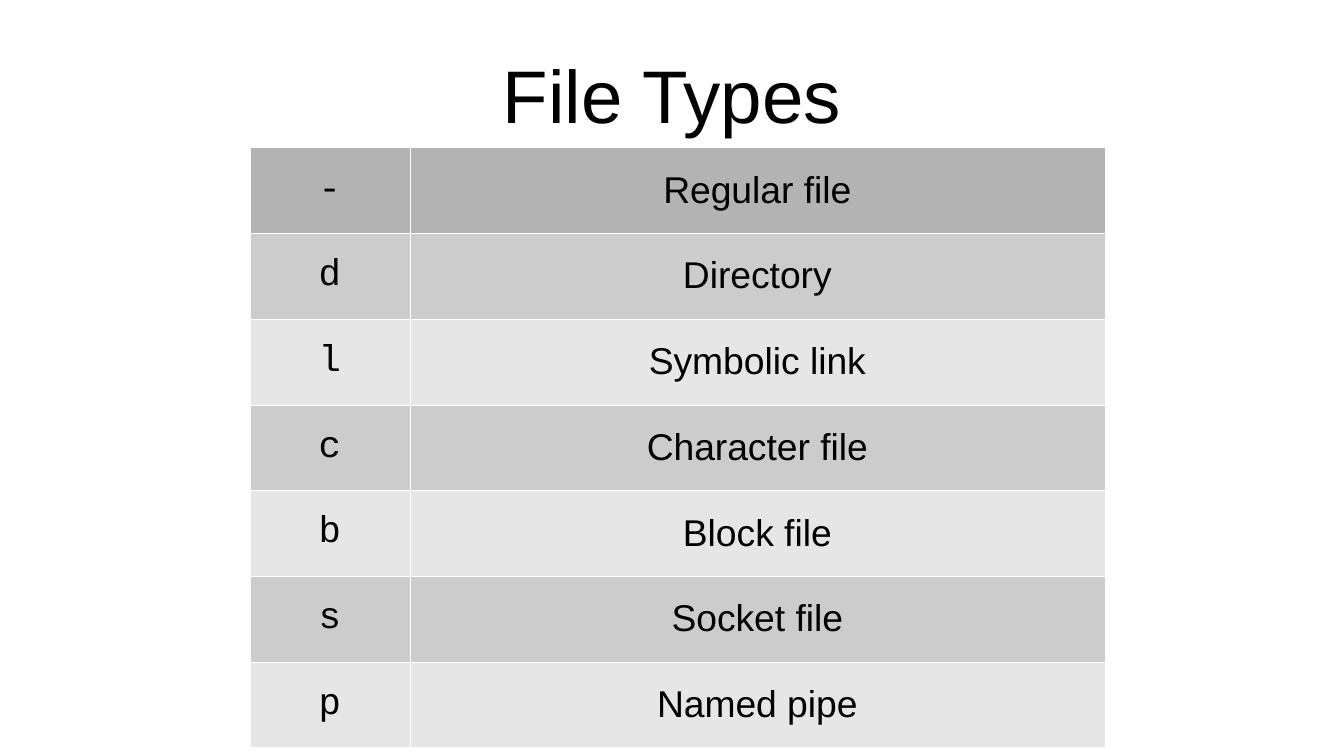
from lxml.etree import SubElement
from pptx import Presentation
from pptx.dml.color import RGBColor
from pptx.enum.text import MSO_ANCHOR as Anchor, PP_ALIGN as Align
from pptx.oxml.ns import qn
from pptx.util import Inches, Pt


def paint(fill, hex_color):
    fill.solid()
    fill.fore_color.rgb = RGBColor.from_string(hex_color)


def write(frame, words, font_name, size):
    paragraph = frame.paragraphs[0]
    paragraph.alignment = Align.CENTER
    run = paragraph.add_run()
    run.text = words
    for key, value in {"name": font_name, "size": Pt(size)}.items():
        setattr(run.font, key, value)
    paint(run.font.fill, "000000")


FILE_TYPES = [
    ("-", "Regular file"),
    ("d", "Directory"),
    ("l", "Symbolic link"),
    ("c", "Character file"),
    ("b", "Block file"),
    ("s", "Socket file"),
    ("p", "Named pipe"),
]
COLUMN_FONTS = ("Courier New", "Arial")
COLUMN_WIDTHS = (Inches(1.31), Inches(5.7))
FIRST_ROW, ODD_ROW, EVEN_ROW = "B3B3B3", "CCCCCC", "E6E6E6"
RULE_COLOR, RULE_WIDTH = "FFFFFF", Pt(0.06)

deck = Presentation()
deck.slide_width, deck.slide_height = Inches(11.02), Inches(6.2)
slide = deck.slides.add_slide(deck.slide_layouts[6])
paint(slide.background.fill, "FFFFFF")

margin = int(deck.slide_width * 0.05)
heading = slide.shapes.add_textbox(
    margin, int(deck.slide_height * 0.04), deck.slide_width - 2 * margin, Inches(1.04)
).text_frame
heading_format = {
    "word_wrap": True,
    "vertical_anchor": Anchor.MIDDLE,
    "margin_left": 0,
    "margin_right": 0,
    "margin_top": 0,
    "margin_bottom": 0,
}
for key, value in heading_format.items():
    setattr(heading, key, value)
write(heading, "File Types", "Arial", 44)

row_height = Inches(4.92) // len(FILE_TYPES)
types_table = slide.shapes.add_table(
    len(FILE_TYPES), len(COLUMN_WIDTHS), Inches(2.05), Inches(1.21),
    sum(COLUMN_WIDTHS), row_height * len(FILE_TYPES),
).table
types_table.first_row = types_table.horz_banding = False
for column, width in zip(types_table.columns, COLUMN_WIDTHS):
    column.width = width

for row, entry in enumerate(FILE_TYPES):
    types_table.rows[row].height = row_height
    band = FIRST_ROW if row == 0 else ODD_ROW if row % 2 else EVEN_ROW
    for col, words in enumerate(entry):
        cell = types_table.cell(row, col)
        cell.vertical_anchor = Anchor.MIDDLE
        write(cell.text_frame, words, COLUMN_FONTS[col], 22)
        properties = cell._tc.get_or_add_tcPr()
        for side in ("lnL", "lnR", "lnT", "lnB"):
            rule = SubElement(properties, qn(f"a:{side}"), w=str(RULE_WIDTH))
            SubElement(SubElement(rule, qn("a:solidFill")), qn("a:srgbClr"), val=RULE_COLOR)
        paint(cell.fill, band)

deck.save("out.pptx")
